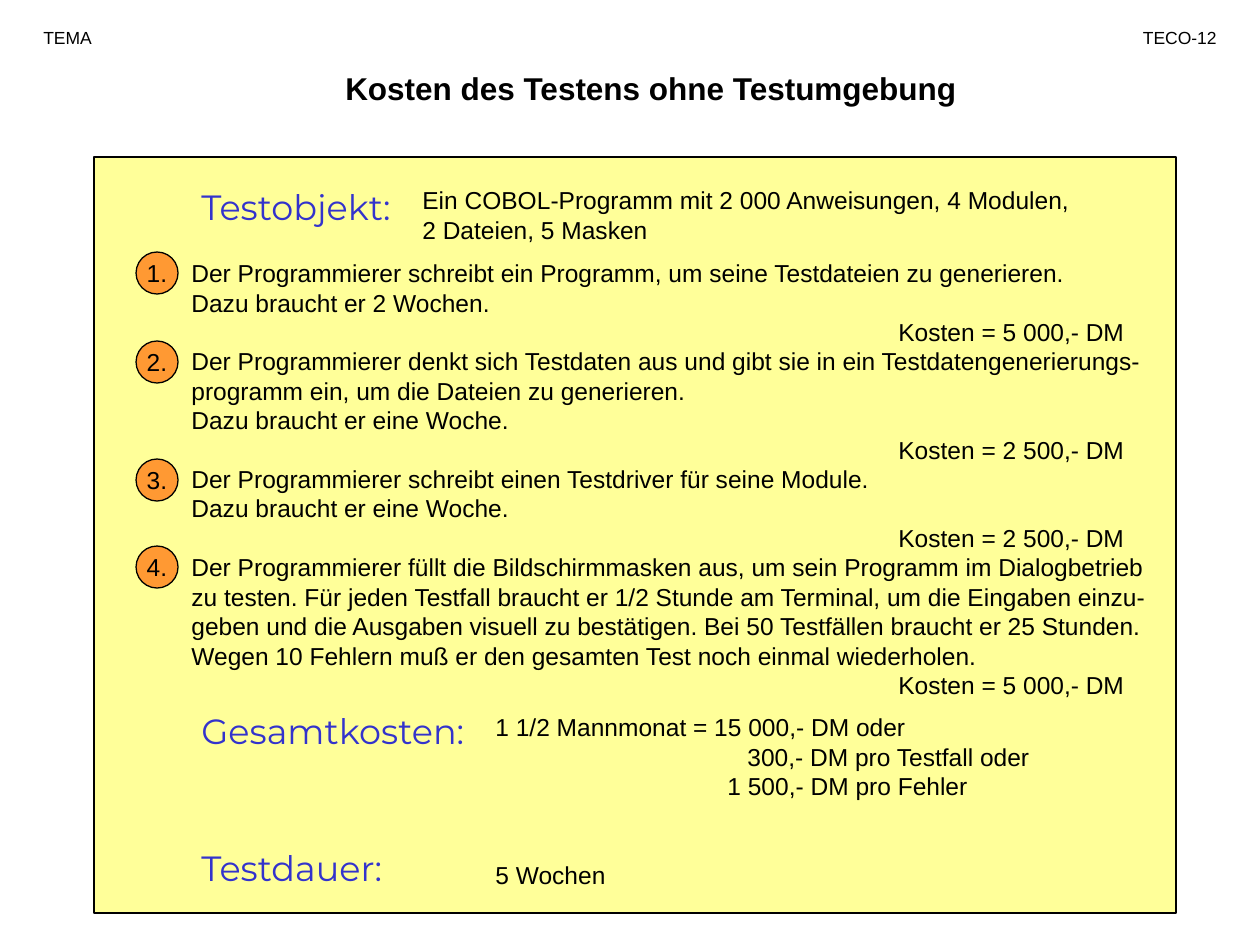
"""Build the slide on the cost of testing without a test environment."""
from dataclasses import dataclass

from pptx import Presentation
from pptx.dml.color import RGBColor
from pptx.enum.shapes import MSO_SHAPE
from pptx.enum.text import MSO_ANCHOR, PP_ALIGN
from pptx.util import Emu, Pt


@dataclass(frozen=True)
class Theme:
    ink: str = "000000"
    heading: str = "3333CC"
    panel: str = "FFFF99"
    badge: str = "FF9933"
    body_font: str = "Arial"
    heading_font: str = "Montserrat"
    title_size: int = 18
    heading_size: int = 20
    body_size: int = 14
    header_size: int = 10
    outline: float = 0.75


THEME = Theme()
COST_INDENT = 707
BADGE_SIZE = 42


def px(length):
    return Emu(round(length * 914400 / 126))


def write(paragraph, text, size=THEME.body_size, font=THEME.body_font,
          color=THEME.ink, bold=False, align=PP_ALIGN.LEFT, indent=0, before=0):
    paragraph.text = text
    paragraph.alignment = align
    if indent:
        properties = paragraph._p.get_or_add_pPr()
        properties.set("marL", str(px(indent)))
        properties.set("indent", "0")
    if before:
        paragraph.space_before = Pt(before)
    for run in paragraph.runs:
        run.font.size = Pt(size)
        run.font.name = font
        run.font.bold = bold
        run.font.color.rgb = RGBColor.from_string(color)


class SlideBuilder:
    def __init__(self, slide, theme):
        self.slide = slide
        self.theme = theme

    def shape(self, kind, left, top, width, height, fill):
        shape = self.slide.shapes.add_shape(
            kind, px(left), px(top), px(width), px(height))
        shape.shadow.inherit = False
        shape.fill.solid()
        shape.fill.fore_color.rgb = RGBColor.from_string(fill)
        shape.line.color.rgb = RGBColor.from_string(self.theme.ink)
        shape.line.width = Pt(self.theme.outline)
        return shape

    def text(self, left, top, width, height, paragraphs, **style):
        box = self.slide.shapes.add_textbox(px(left), px(top), px(width), px(height))
        frame = box.text_frame
        frame.word_wrap = True
        for index, (content, layout) in enumerate(paragraphs):
            paragraph = frame.add_paragraph() if index else frame.paragraphs[0]
            write(paragraph, content, **style, **layout)

    def line(self, left, top, width, height, content, **style):
        self.text(left, top, width, height, [(content, {})], **style)

    def heading(self, top, width, content):
        self.line(189, top, width, 48, content, size=self.theme.heading_size,
                  font=self.theme.heading_font, color=self.theme.heading)

    def badge(self, top, content):
        circle = self.shape(MSO_SHAPE.OVAL, 136, top, BADGE_SIZE, BADGE_SIZE,
                            self.theme.badge)
        frame = circle.text_frame
        frame.word_wrap = False
        frame.vertical_anchor = MSO_ANCHOR.MIDDLE
        write(frame.paragraphs[0], content, align=PP_ALIGN.CENTER)


STEPS = [
    (252, "Der Programmierer schreibt ein Programm, um seine Testdateien zu generieren.\n"
          "Dazu braucht er 2 Wochen.", "5 000"),
    (341, "Der Programmierer denkt sich Testdaten aus und gibt sie in ein "
          "Testdatengenerierungs-programm ein, um die Dateien zu generieren.\n"
          "Dazu braucht er eine Woche.", "2 500"),
    (459, "Der Programmierer schreibt einen Testdriver für seine Module.\n"
          "Dazu braucht er eine Woche.", "2 500"),
    (546, "Der Programmierer füllt die Bildschirmmasken aus, um sein Programm im "
          "Dialogbetrieb\nzu testen. Für jeden Testfall braucht er 1/2 Stunde am "
          "Terminal, um die Eingaben einzu-geben und die Ausgaben visuell zu "
          "bestätigen. Bei 50 Testfällen braucht er 25 Stunden.\n"
          "Wegen 10 Fehlern muß er den gesamten Test noch einmal wiederholen.", "5 000"),
]

TOTALS = [
    ("1 1/2 Mannmonat = 15 000,- DM oder", {}),
    ("300,- DM pro Testfall oder", {"indent": 252}),
    ("1 500,- DM pro Fehler", {"indent": 232}),
    ("5 Wochen", {"before": 34}),
]


def main():
    deck = Presentation()
    deck.slide_width, deck.slide_height = px(1260), px(945)
    page = SlideBuilder(deck.slides.add_slide(deck.slide_layouts[6]), THEME)

    page.shape(MSO_SHAPE.RECTANGLE, 94, 157, 1082, 756, THEME.panel)
    page.line(273, 63, 756, 50, "Kosten des Testens ohne Testumgebung",
              size=THEME.title_size, bold=True, align=PP_ALIGN.CENTER)
    page.line(31, 21, 116, 34, "TEMA", size=THEME.header_size)
    page.line(1103, 21, 126, 34, "TECO-12", size=THEME.header_size,
              align=PP_ALIGN.RIGHT)

    step_lines = []
    for _, description, cost in STEPS:
        step_lines += [(description, {}),
                       (f"Kosten = {cost},- DM", {"indent": COST_INDENT})]
    page.text(179, 252, 987, 454, step_lines)
    page.line(410, 179, 693, 72,
              "Ein COBOL-Programm mit 2 000 Anweisungen, 4 Modulen,\n2 Dateien, 5 Masken")
    page.text(483, 706, 599, 190, TOTALS)

    page.heading(179, 220, "Testobjekt:")
    page.heading(703, 294, "Gesamtkosten:")
    page.heading(840, 215, "Testdauer:")

    for number, (top, _, _) in enumerate(STEPS, start=1):
        page.badge(top, f"{number}.")

    deck.save("out.pptx")


if __name__ == "__main__":
    main()
